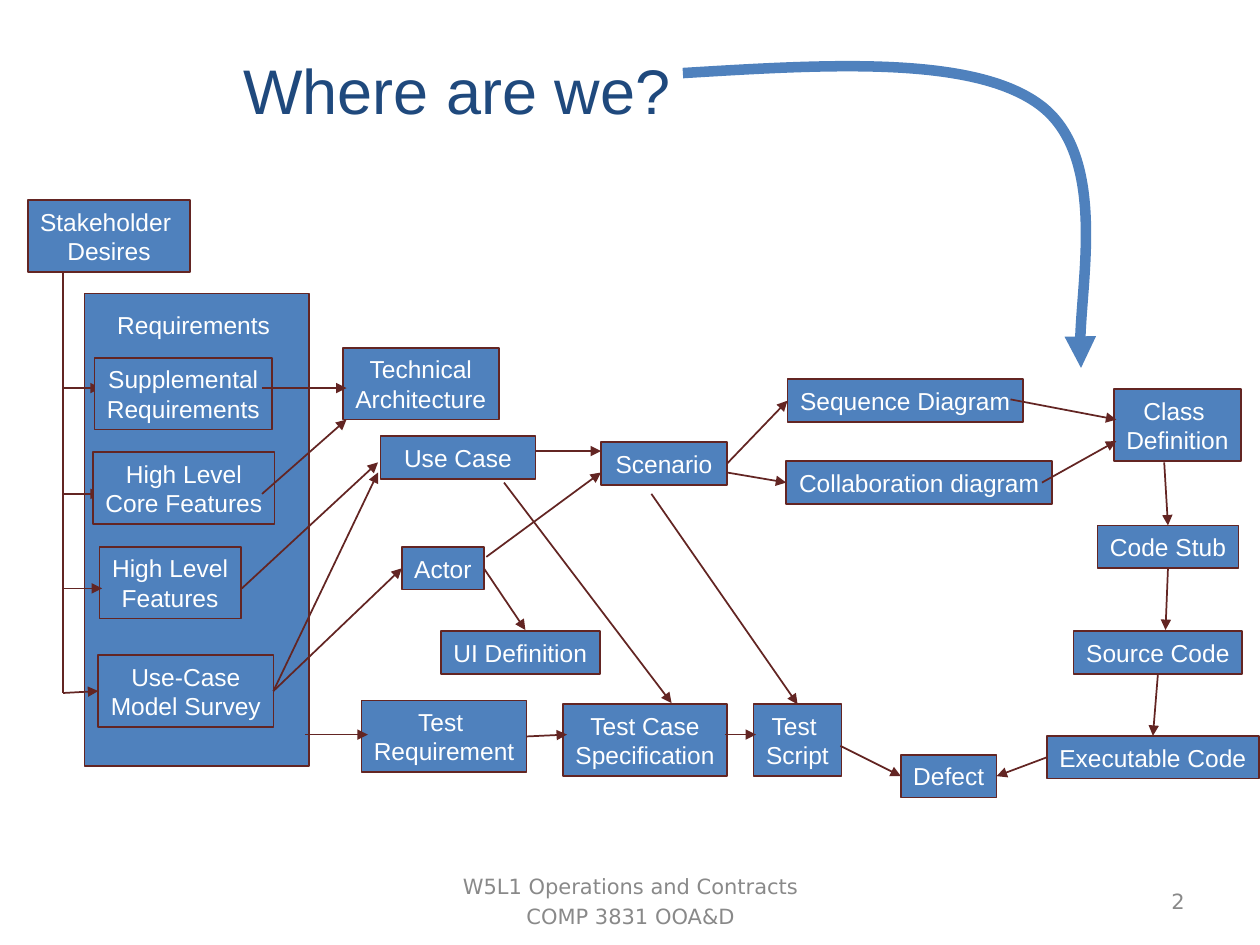
import pptx
import pptx.util
import pptx.dml.color
import pptx.enum.shapes
import pptx.enum.text
import pptx.oxml
import pptx.oxml.ns
from dataclasses import dataclass

Inches = pptx.util.Inches
Align = pptx.enum.text.PP_ALIGN
Anchor = pptx.enum.text.MSO_ANCHOR
RECTANGLE = pptx.enum.shapes.MSO_SHAPE.RECTANGLE


@dataclass
class Theme:
    fill: str = "4F81BD"
    line: str = "632523"
    title: str = "1F497D"
    label: str = "FFFFFF"
    footer: str = "898989"
    font: str = "Arial"
    footer_font: str = "DejaVu Sans"
    title_size: int = 36
    label_size: int = 14
    footer_size: int = 12


theme = Theme()
color = pptx.dml.color.RGBColor.from_string
deck = pptx.Presentation()
deck.slide_width, deck.slide_height = Inches(10), Inches(7.5)
page = deck.slides.add_slide(deck.slide_layouts[5])


def write(box, text, size=theme.label_size, ink=theme.label, font=theme.font,
          align=Align.CENTER, anchor=Anchor.MIDDLE, wrap=True, before=0):
    frame = box.text_frame
    frame.text = text
    frame.word_wrap = wrap
    frame.vertical_anchor = anchor
    for para in frame.paragraphs:
        para.alignment = align
        para.space_before = pptx.util.Pt(before)
        for span in para.runs:
            span.font.size = pptx.util.Pt(size)
            span.font.name = font
            span.font.color.rgb = color(ink)


def connect(start, end, boxes=(), arrow=True):
    """Draw a line, joined to any box whose side has its middle at an end."""
    link = page.shapes.add_connector(pptx.enum.shapes.MSO_CONNECTOR.STRAIGHT,
                                     *map(Inches, start + end))
    link.line.color.rgb = color(theme.line)
    link.line.width = pptx.util.Pt(1)
    properties = link._element.spPr
    if arrow:
        pptx.oxml.ns  # namespace helpers
        head = properties.find(pptx.oxml.ns.qn("a:ln")).makeelement(
            pptx.oxml.ns.qn("a:tailEnd"), {"type": "triangle"})
        properties.find(pptx.oxml.ns.qn("a:ln")).append(head)
    properties.append(properties.makeelement(pptx.oxml.ns.qn("a:effectLst"), {}))
    near = Inches(0.035)
    for box in boxes:
        middle_x, middle_y = box.left + box.width // 2, box.top + box.height // 2
        sides = [(middle_x, box.top), (box.left, middle_y),
                 (middle_x, box.top + box.height), (box.left + box.width, middle_y)]
        for side, (x, y) in enumerate(sides):
            for point, join in ((start, link.begin_connect), (end, link.end_connect)):
                if abs(Inches(point[0]) - x) < near and abs(Inches(point[1]) - y) < near:
                    join(box, side)


# Title
title = page.shapes.title
title.left, title.top = Inches(1.83), Inches(0.42)
title.width, title.height = Inches(7.67), Inches(0.58)
write(title, "Where are we?", size=theme.title_size, ink=theme.title, align=Align.LEFT)

# Footer and page number
for text, left, width, align in [
    ("W5L1 Operations and Contracts\nCOMP 3831 OOA&D", 3.42, 3.17, Align.CENTER),
    ("2", 7.17, 2.33, Align.RIGHT),
]:
    footer = page.shapes.add_textbox(Inches(left), Inches(6.95), Inches(width), Inches(0.4))
    write(footer, text, size=theme.footer_size, ink=theme.footer,
          font=theme.footer_font, align=align, before=3)

# Requirements panel
panel = page.shapes.add_shape(RECTANGLE, Inches(0.67), Inches(2.33), Inches(1.78), Inches(3.75))
write(panel, "Requirements", align=Align.LEFT, anchor=Anchor.TOP, wrap=False)
panel.text_frame.margin_left, panel.text_frame.margin_top = Inches(0.26), Inches(0.13)

# Trunk from the stakeholder, and the branches that run under their boxes
connect((0.5, 2.17), (0.5, 5.5), arrow=False)
for y in (3.08, 3.92):
    connect((0.5, y), (0.8, y))

# Work products: text, left, top, width
products = [
    ("Stakeholder \nDesires", 0.22, 1.59, 1.29),
    ("Supplemental\nRequirements", 0.75, 2.84, 1.41),
    ("High Level\nCore Features", 0.74, 3.59, 1.44),
    ("High Level\nFeatures", 0.79, 4.34, 1.12),
    ("Use-Case\nModel Survey", 0.78, 5.2, 1.39),
    ("Technical\nArchitecture", 2.72, 2.76, 1.24),
    ("Use Case", 3.02, 3.46, 1.23),
    ("Actor", 3.19, 4.34, 0.65),
    ("UI Definition", 3.5, 5.01, 1.26),
    ("Test \nRequirement", 2.87, 5.56, 1.31),
    ("Test Case\nSpecification", 4.47, 5.59, 1.3),
    ("Test \nScript", 5.98, 5.59, 0.7),
    ("Scenario", 4.77, 3.51, 1),
    ("Sequence Diagram", 6.25, 3.01, 1.87),
    ("Collaboration diagram", 6.24, 3.66, 2.11),
    ("Class \nDefinition", 8.84, 3.09, 1.01),
    ("Code Stub", 8.71, 4.17, 1.12),
    ("Source Code", 8.52, 5.01, 1.34),
    ("Executable Code", 8.31, 5.84, 1.68),
    ("Defect", 7.15, 5.99, 0.76),
]
boxes = []
for text, left, top, width in products:
    height = 0.57 if "\n" in text else 0.34
    box = page.shapes.add_shape(RECTANGLE, *map(Inches, (left, top, width, height)))
    write(box, text, wrap=False)
    boxes.append(box)
for box in [panel] + boxes:
    box.shadow.inherit = False
    box.fill.solid()
    box.fill.fore_color.rgb = color(theme.fill)
    box.line.color.rgb = color(theme.line)
    box.line.width = pptx.util.Pt(1)

# Arrows between the work products
arrows = [
    # from the requirements
    ((0.5, 4.67), (0.81, 4.67)), ((0.5, 5.5), (0.81, 5.5)),
    ((2.08, 3.08), (2.75, 3.08)), ((2.08, 3.92), (2.75, 3.33)),
    ((1.92, 4.67), (3, 3.67)), ((2.17, 5.5), (3, 3.75)),
    ((2.17, 5.5), (3.17, 4.5)), ((2.42, 5.83), (2.92, 5.83)),
    # use case, actor and scenario
    ((4.25, 3.58), (4.77, 3.58)), ((3.86, 4.42), (4.77, 3.75)),
    ((3.86, 4.5), (4.17, 5)), ((4, 3.83), (5.33, 5.58)),
    ((5.17, 3.92), (6.33, 5.58)), ((5.77, 3.67), (6.27, 3.17)),
    ((5.77, 3.75), (6.27, 3.83)),
    # design and code
    ((8.02, 3.17), (8.86, 3.33)), ((8.27, 3.83), (8.86, 3.5)),
    ((9.24, 3.67), (9.24, 4.17)), ((9.25, 4.5), (9.25, 5)),
    ((9.17, 5.33), (9.17, 5.83)),
    # tests and defects
    ((4.17, 5.83), (4.5, 5.83)), ((5.75, 5.83), (6, 5.83)),
    ((6.67, 5.92), (7.17, 6.17)), ((8.33, 6), (7.92, 6.17)),
]
for start, end in arrows:
    connect(start, end, boxes)

# Curved pointer from the title to the class definition
points = [(5.42, 0.58), (6.57, 0.51), (7.72, 0.44), (8.25, 0.83),
          (8.78, 1.22), (8.53, 2.56), (8.58, 2.92)]
vertices = [(Inches(x), Inches(y)) for x, y in points]
builder = page.shapes.build_freeform(*vertices[0])
builder.add_line_segments(vertices[1:], close=False)
pointer = builder.convert_to_shape()
pointer.shadow.inherit = False
pointer.fill.background()
pointer.line.color.rgb = color(theme.fill)
pointer.line.width = pptx.util.Pt(6)
qn = pptx.oxml.ns.qn
outline = pointer._element.spPr.find(qn("a:ln"))
outline.append(outline.makeelement(qn("a:tailEnd"), {"type": "triangle"}))

# Each three segments become one Bézier curve
segments = list(pointer._element.iter(qn("a:lnTo")))
for first in range(0, len(segments), 3):
    curve = outline.makeelement(qn("a:cubicBezTo"), {})
    segments[first].addprevious(curve)
    for segment in segments[first:first + 3]:
        curve.append(segment[0])
        segment.getparent().remove(segment)

deck.save("out.pptx")
